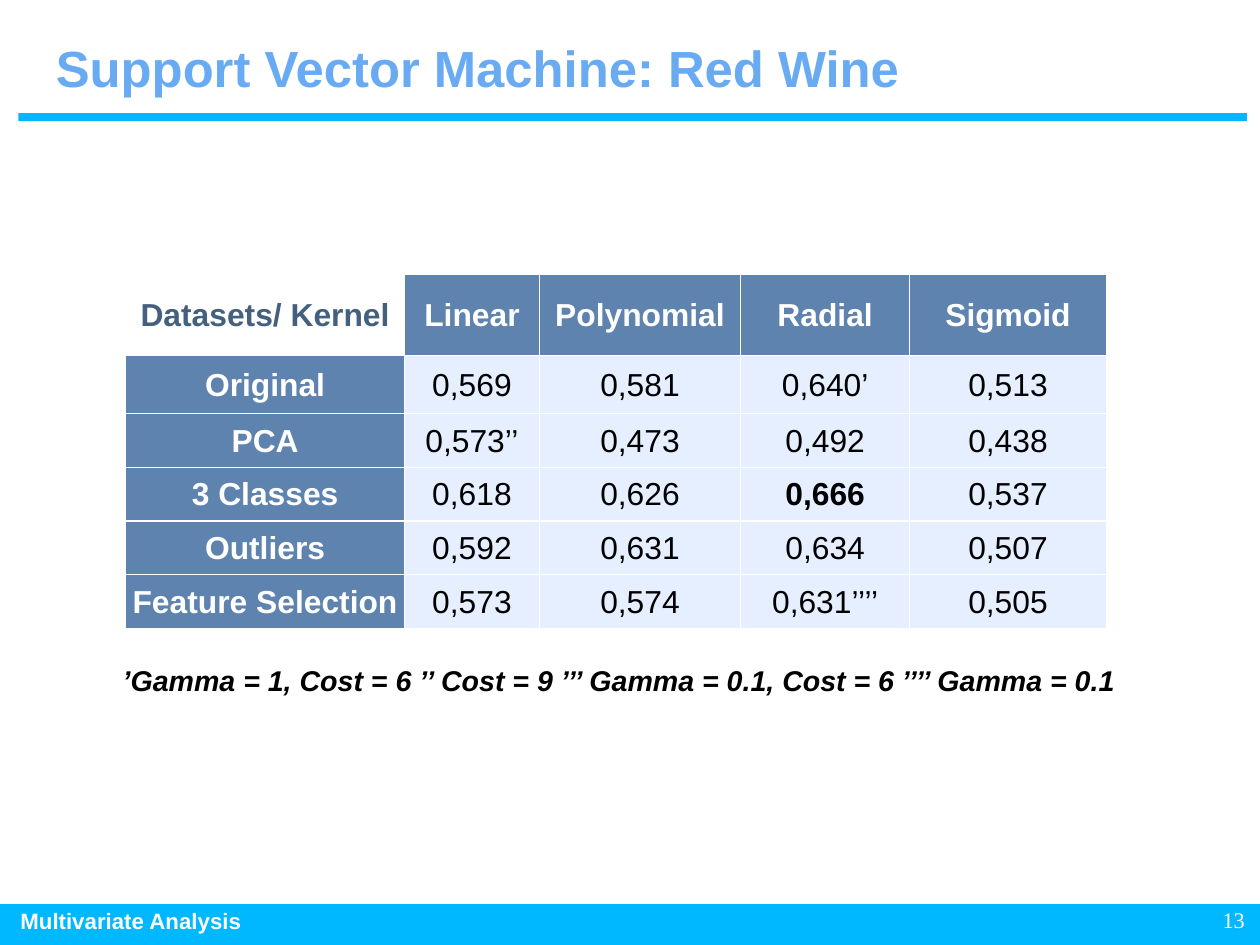
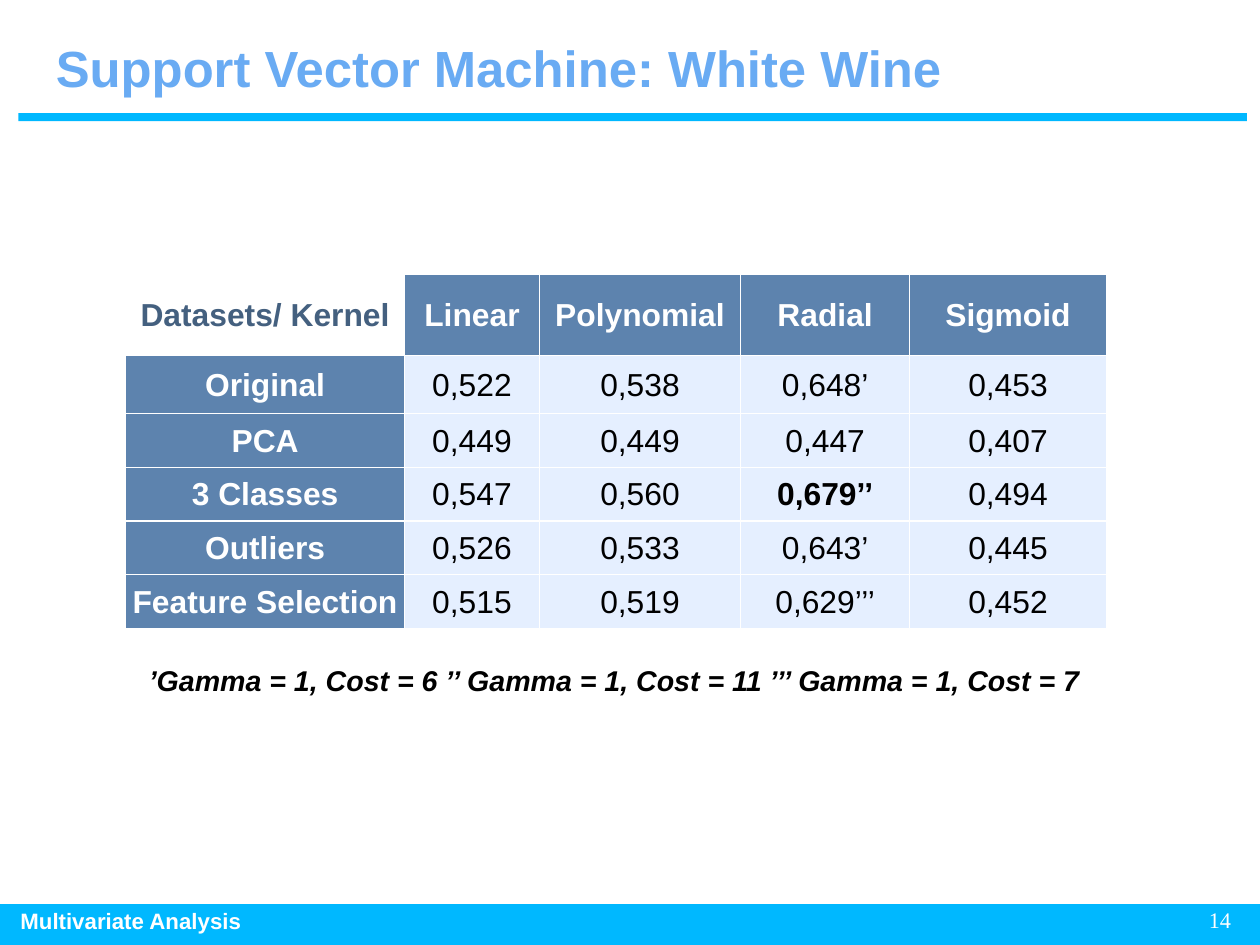
from lxml.etree import SubElement
from pptx import Presentation
from pptx.dml.color import RGBColor
from pptx.enum.shapes import MSO_SHAPE
from pptx.enum.text import MSO_ANCHOR, PP_ALIGN
from pptx.oxml.ns import qn
from pptx.util import Inches, Pt

# Shared colours and sizes
WHITE = RGBColor(0xFF, 0xFF, 0xFF)
BLACK = RGBColor(0x00, 0x00, 0x00)
BAND_BLUE = RGBColor(0x00, 0xB8, 0xFF)
TITLE_BLUE = RGBColor(0x69, 0xAB, 0xF3)
HEADER_BLUE = RGBColor(0x5D, 0x83, 0xAE)
CORNER_BLUE = RGBColor(0x44, 0x60, 0x7F)
CELL_BLUE = RGBColor(0xE5, 0xEF, 0xFF)
# The page is 28 by 21 cm
PAGE_WIDTH, PAGE_HEIGHT = 28 / 2.54, 21 / 2.54

# Table content
KERNELS = ["Datasets/ Kernel", "Linear", "Polynomial", "Radial", "Sigmoid"]
DATASETS = ["Original", "PCA", "3 Classes", "Outliers", "Feature Selection"]
COLUMN_WIDTHS = [2.44, 1.18, 1.76, 1.48, 1.72]
ROW_HEIGHTS = [0.71, 0.51] + [0.47] * 4
BEST_CELL = (3, 3)

RED_SCORES = [
    ["0,569", "0,581", "0,640’", "0,513"],
    ["0,573’’", "0,473", "0,492", "0,438"],
    ["0,618", "0,626", "0,666", "0,537"],
    ["0,592", "0,631", "0,634", "0,507"],
    ["0,573", "0,574", "0,631’’’’", "0,505"],
]
WHITE_SCORES = [
    ["0,522", "0,538", "0,648’", "0,453"],
    ["0,449", "0,449", "0,447", "0,407"],
    ["0,547", "0,560", "0,679’’", "0,494"],
    ["0,526", "0,533", "0,643’", "0,445"],
    ["0,515", "0,519", "0,629’’’", "0,452"],
]
RED_NOTE = "’Gamma = 1, Cost = 6 ’’ Cost = 9 ’’’ Gamma = 0.1, Cost = 6 ’’’’ Gamma = 0.1"
WHITE_NOTE = "’Gamma = 1, Cost = 6 ’’ Gamma = 1, Cost = 11 ’’’ Gamma = 1, Cost = 7"


def write_text(frame, text, size, color, bold=True, italic=False,
               align=PP_ALIGN.LEFT, name="Arial"):
    para = frame.paragraphs[0]
    para.text = text
    para.alignment = align
    font = para.font
    font.name, font.size = name, Pt(size)
    font.bold, font.italic = bold, italic
    font.color.rgb = color


def add_text(page, place, text, size, color, **style):
    box = page.shapes.add_textbox(*map(Inches, place))
    box.text_frame.word_wrap = True
    write_text(box.text_frame, text, size, color, **style)
    return box


def add_band(page, left, top, width, height):
    band = page.shapes.add_shape(
        MSO_SHAPE.RECTANGLE, *map(Inches, (left, top, width, height)))
    band.shadow.inherit = False
    band.fill.solid()
    band.fill.fore_color.rgb = BAND_BLUE
    band.line.fill.background()


def add_frame(page, title, number, number_left):
    """Title, rule, footer band and page number."""
    add_band(page, 0.16, 0.99, 10.75, 0.07)
    add_band(page, 0, 7.91, PAGE_WIDTH, 0.36)
    add_text(page, (0.08, 7.89, 4.02, 0.34), "Multivariate Analysis", 14, WHITE)
    box = add_text(page, (number_left, 7.95, 0.39, 0.32), str(number), 14, WHITE,
                   bold=False, align=PP_ALIGN.RIGHT, name="Times New Roman")
    frame = box.text_frame
    frame.margin_left = frame.margin_right = 0
    frame.margin_top = frame.margin_bottom = 0
    frame.paragraphs[0].line_spacing = 0.95
    add_text(page, (0.39, 0.27, 8.98, 0.64), title, 32, TITLE_BLUE)


def set_borders(cell):
    properties = cell._tc.get_or_add_tcPr()
    for side in ("a:lnL", "a:lnR", "a:lnT", "a:lnB"):
        line = SubElement(properties, qn(side), w=str(Pt(1)))
        fill = SubElement(line, qn("a:solidFill"))
        SubElement(fill, qn("a:srgbClr"), val=str(WHITE))


def format_cell(cell, text, fill, color, bold):
    cell.vertical_anchor = MSO_ANCHOR.MIDDLE
    cell.margin_left = cell.margin_right = cell.margin_top = Inches(0.01)
    cell.margin_bottom = 0
    set_borders(cell)
    if fill is None:
        cell.fill.background()
    else:
        cell.fill.solid()
        cell.fill.fore_color.rgb = fill
    write_text(cell.text_frame, text, 20, color, bold, align=PP_ALIGN.CENTER)


def add_score_table(page, scores):
    rows = [KERNELS] + [[name] + row for name, row in zip(DATASETS, scores)]
    table = page.shapes.add_table(
        len(rows), len(KERNELS), Inches(1.1), Inches(2.4),
        Inches(sum(COLUMN_WIDTHS)), Inches(sum(ROW_HEIGHTS))).table
    table.first_row = table.horz_banding = False
    for column, width in zip(table.columns, COLUMN_WIDTHS):
        column.width = Inches(width)
    for row, height in zip(table.rows, ROW_HEIGHTS):
        row.height = Inches(height)
    for r, row in enumerate(rows):
        for c, text in enumerate(row):
            if r == c == 0:
                look = None, CORNER_BLUE, True
            elif r == 0 or c == 0:
                look = HEADER_BLUE, WHITE, True
            else:
                look = CELL_BLUE, BLACK, (r, c) == BEST_CELL
            format_cell(table.cell(r, c), text, *look)


def add_results_page(deck, wine, number, number_left, scores, note, note_width):
    page = deck.slides.add_slide(deck.slide_layouts[6])
    add_frame(page, f"Support Vector Machine: {wine} Wine", number, number_left)
    add_score_table(page, scores)
    add_text(page, (0.87, 5.75, note_width, 0.4), note, 18, BLACK,
             italic=True, align=PP_ALIGN.CENTER)


def main():
    deck = Presentation()
    deck.slide_width, deck.slide_height = Inches(PAGE_WIDTH), Inches(PAGE_HEIGHT)
    add_results_page(deck, "Red", 13, 10.5, RED_SCORES, RED_NOTE, 9.09)
    add_results_page(deck, "White", 14, 10.38, WHITE_SCORES, WHITE_NOTE, 9.01)
    deck.save("out.pptx")


if __name__ == "__main__":
    main()
